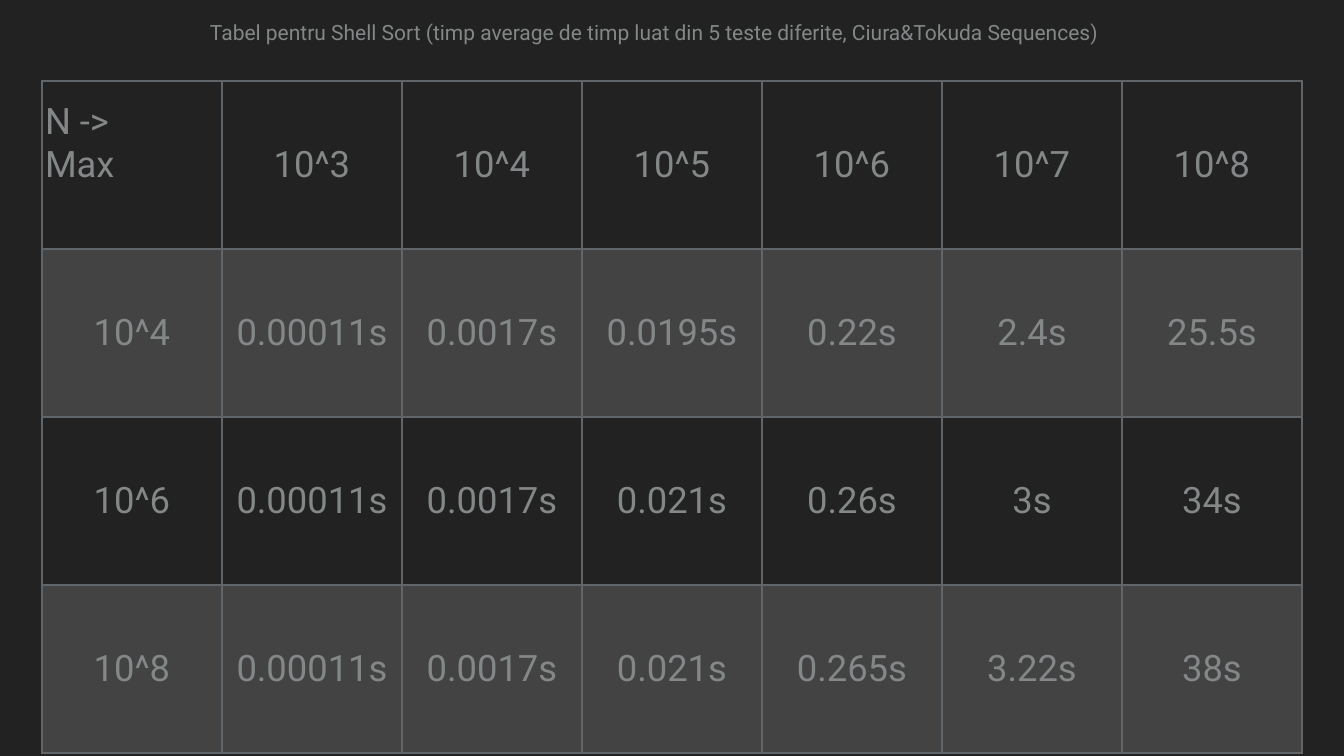
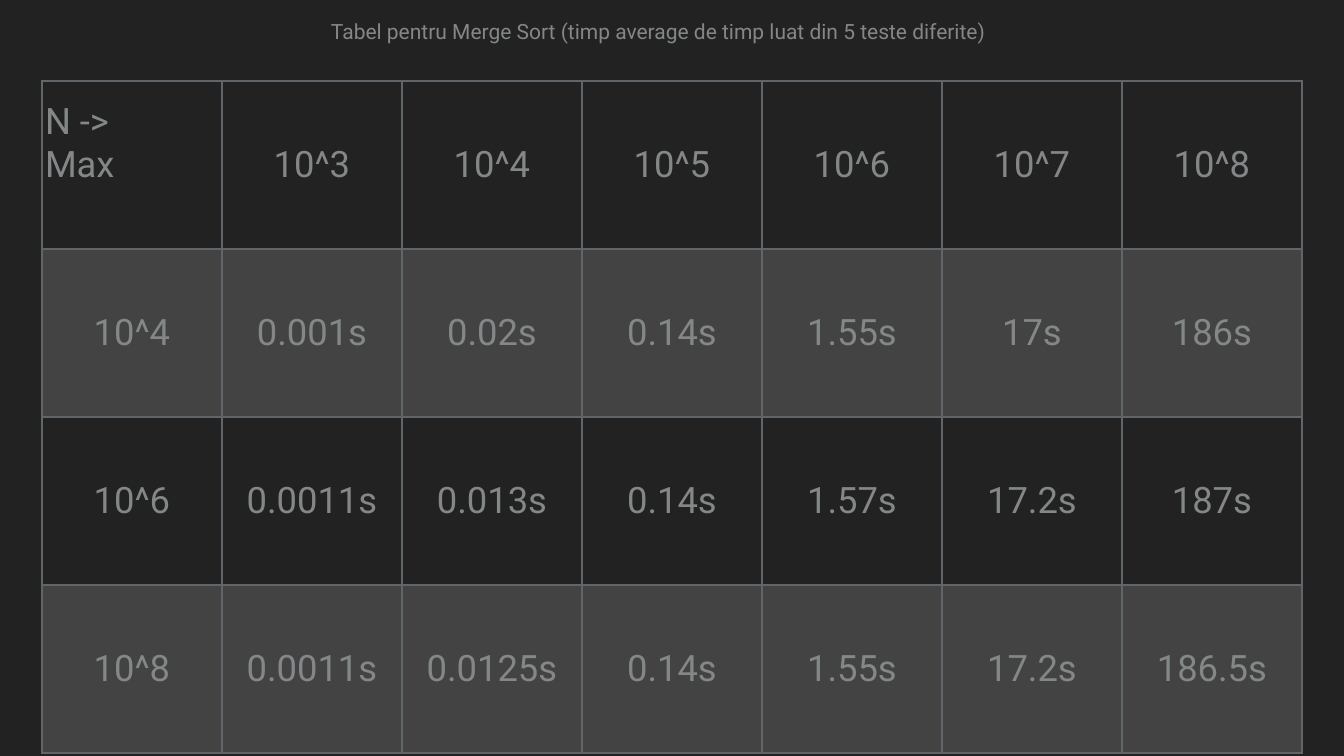
from lxml import etree
from pptx import Presentation
from pptx import util as u
from pptx.dml import color
from pptx.enum import text
from pptx.oxml import ns

COLORS = {"background": "222222", "text": "838787", "border": "5F6568", "band": "DCDEE0"}
FONT = "Roboto"
EMU_PER_PIXEL = 914400 / 50.4
INSET = 3
CORNER = "N ->\vMax"
CORNER_BOTTOM = 46
POWERS = ["10^3", "10^4", "10^5", "10^6", "10^7", "10^8"]
SLIDES = [
    {
        "title": "Tabel pentru Shell Sort (timp average de timp luat din 5 teste diferite, "
                 "Ciura&Tokuda Sequences)",
        "box": (207, 15, 931, 34),
        "times": {
            "10^4": ["0.00011s", "0.0017s", "0.0195s", "0.22s", "2.4s", "25.5s"],
            "10^6": ["0.00011s", "0.0017s", "0.021s", "0.26s", "3s", "34s"],
            "10^8": ["0.00011s", "0.0017s", "0.021s", "0.265s", "3.22s", "38s"],
        },
    },
    {
        "title": "Tabel pentru Merge Sort (timp average de timp luat din 5 teste diferite)",
        "box": (328, 14, 689, 34),
        "times": {
            "10^4": ["0.001s", "0.02s", "0.14s", "1.55s", "17s", "186s"],
            "10^6": ["0.0011s", "0.013s", "0.14s", "1.57s", "17.2s", "187s"],
            "10^8": ["0.0011s", "0.0125s", "0.14s", "1.55s", "17.2s", "186.5s"],
        },
    },
]


def px(pixels):
    """Turn pixels into EMU."""
    return u.Emu(round(pixels * EMU_PER_PIXEL))


def rgb(name):
    """Look up a named colour."""
    return color.RGBColor.from_string(COLORS[name])


def set_attributes(target, values):
    """Set each attribute of a dict on an object."""
    for name, value in values.items():
        setattr(target, name, value)


def write_text(frame, content, size, alignment):
    """Write one paragraph in the shared text style."""
    frame.text = content
    paragraph = frame.paragraphs[0]
    set_attributes(paragraph, {"alignment": alignment, "space_before": u.Pt(34), "line_spacing": 1.0})
    for run in paragraph.runs:
        set_attributes(run.font, {"name": FONT, "size": u.Pt(size), "bold": False})
        run.font.color.rgb = rgb("text")


def set_margins(target):
    """Give a frame or cell the shared narrow insets."""
    sides = ("left", "right", "top", "bottom")
    set_attributes(target, {f"margin_{side}": px(INSET) for side in sides})


def add_title(slide, content, box):
    """Place and format the title placeholder."""
    title = slide.shapes.title
    set_attributes(title, dict(zip(("left", "top", "width", "height"), map(px, box))))
    frame = title.text_frame
    set_margins(frame)
    set_attributes(frame, {
        "word_wrap": True,
        "auto_size": text.MSO_AUTO_SIZE.NONE,
        "vertical_anchor": text.MSO_ANCHOR.MIDDLE,
    })
    write_text(frame, content, 30, text.PP_ALIGN.LEFT)


def fill_cell(cell, banded):
    """Give a cell a translucent band or no fill."""
    if not banded:
        cell.fill.background()
        return
    cell.fill.solid()
    cell.fill.fore_color.rgb = rgb("band")
    properties = cell._tc.get_or_add_tcPr()
    fill_color = properties.find(ns.qn("a:solidFill")).find(ns.qn("a:srgbClr"))
    etree.SubElement(fill_color, ns.qn("a:alpha"), val="18000")


def add_borders(cell):
    """Draw the four borders of a cell."""
    properties = cell._tc.get_or_add_tcPr()
    for index, side in enumerate("LRTB"):
        line = etree.Element(ns.qn(f"a:ln{side}"), w=str(u.Pt(2)))
        fill = etree.SubElement(line, ns.qn("a:solidFill"))
        etree.SubElement(fill, ns.qn("a:srgbClr"), val=COLORS["border"])
        properties.insert(index, line)


def add_time_table(slide, times):
    """Add the table of running times by size and largest value."""
    rows = [[CORNER, *POWERS]] + [[limit, *values] for limit, values in times.items()]
    frame = slide.shapes.add_table(len(rows), len(rows[0]), px(42), px(81), px(1260), px(672))
    table = frame.table
    set_attributes(table, {"first_row": False, "horz_banding": False})
    for column in table.columns:
        column.width = px(180)
    for row_index, values in enumerate(rows):
        table.rows[row_index].height = px(168)
        for column_index, value in enumerate(values):
            cell = table.cell(row_index, column_index)
            set_margins(cell)
            cell.vertical_anchor = text.MSO_ANCHOR.MIDDLE
            corner = value == CORNER
            alignment = text.PP_ALIGN.LEFT if corner else text.PP_ALIGN.CENTER
            write_text(cell.text_frame, value, 52, alignment)
            if corner:
                cell.margin_bottom = px(CORNER_BOTTOM)
            fill_cell(cell, row_index % 2 == 1)
            add_borders(cell)


def main():
    """Build the presentation."""
    presentation = Presentation()
    set_attributes(presentation, {"slide_width": px(1344), "slide_height": px(756)})
    layout = presentation.slide_layouts.get_by_name("Title Only")
    background = presentation.slide_master.background.fill
    background.solid()
    background.fore_color.rgb = rgb("background")
    for content in SLIDES:
        slide = presentation.slides.add_slide(layout)
        add_time_table(slide, content["times"])
        add_title(slide, content["title"], content["box"])
    presentation.save("out.pptx")


main()
